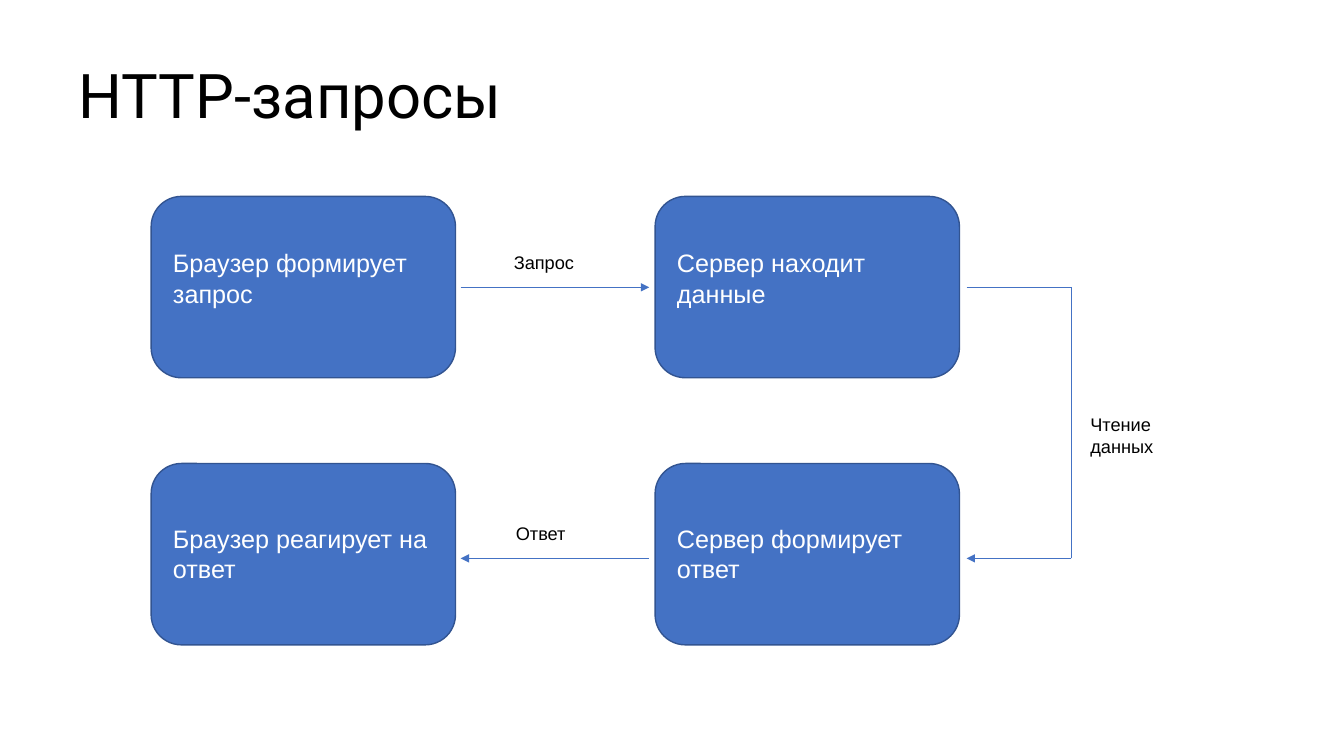
from lxml.etree import SubElement
from pptx import Presentation
from pptx.dml.color import RGBColor as RGB
from pptx.enum.shapes import MSO_CONNECTOR as Link, MSO_SHAPE as Form
from pptx.enum.text import MSO_ANCHOR as Anchor
from pptx.oxml.ns import qn
from pptx.util import Cm, Pt

BLACK = RGB(0x00, 0x00, 0x00)
WHITE = RGB(0xFF, 0xFF, 0xFF)
BLUE = RGB(0x44, 0x72, 0xC4)
NAVY = RGB(0x32, 0x54, 0x91)

LEFT, RIGHT = 3.81, 16.51    # box columns
TOP, LOW = 4.95, 11.68       # box rows
WIDE, HIGH = 7.67, 4.57      # box size
ASK, REPLY = 7.24, 14.07     # heights of the two arrow rows
NEAR, FAR = 11.61, 16.36     # arrow ends between the columns
EDGE, TURN = 24.36, 27.0     # path on the right


class Board:
    """Draws the flow chart on one slide."""

    def __init__(self, slide):
        self.shapes = slide.shapes

    def text(self, words, x, y, w, h, size, color=BLACK, face="Arial"):
        box = self.shapes.add_textbox(Cm(x), Cm(y), Cm(w), Cm(h))
        frame = box.text_frame
        frame.word_wrap = True
        frame.text = words
        font = frame.paragraphs[0].runs[0].font
        font.name, font.size, font.color.rgb = face, Pt(size), color
        return frame

    def title(self, words):
        frame = self.text(words, 1.73, 1.27, 30.02, 2.18, 44, face="Roboto")
        frame.vertical_anchor = Anchor.BOTTOM
        frame.paragraphs[0].line_spacing = 0.9

    def box(self, x, y):
        box = self.shapes.add_shape(
            Form.ROUNDED_RECTANGLE, Cm(x), Cm(y), Cm(WIDE), Cm(HIGH))
        box.shadow.inherit = False
        box.fill.solid()
        box.fill.fore_color.rgb = BLUE
        box.line.color.rgb = NAVY
        box.line.width = Pt(1)

    def line(self, start, end, arrow=True):
        points = [Cm(v) for v in (*start, *end)]
        line = self.shapes.add_connector(Link.STRAIGHT, *points)
        line.line.color.rgb = BLUE
        line.line.width = Pt(0.5)
        if arrow:
            SubElement(line.line._get_or_add_ln(), qn("a:tailEnd"),
                       type="triangle")
        SubElement(line._element.spPr, qn("a:effectLst"))


def main():
    deck = Presentation()
    deck.slide_width, deck.slide_height = Cm(33.87), Cm(19.05)
    board = Board(deck.slides.add_slide(deck.slide_layouts[6]))
    board.title("HTTP-запросы")

    for x, y in ((LEFT, TOP), (RIGHT, TOP), (RIGHT, LOW), (LEFT, LOW)):
        board.box(x, y)

    board.line((NEAR, ASK), (FAR, ASK))
    board.line((FAR, REPLY), (NEAR, REPLY))
    board.line((EDGE, ASK), (TURN, ASK), arrow=False)
    board.line((TURN, REPLY), (TURN, ASK), arrow=False)
    board.line((TURN, REPLY), (EDGE, REPLY))

    steps = (
        ("Браузер формирует запрос", LEFT, 6.12),
        ("Сервер находит данные", RIGHT, 6.12),
        ("Браузер реагирует на\u00a0ответ".replace("\u00a0", " "), LEFT, 13.06),
        ("Сервер формирует ответ", RIGHT, 13.06),
    )
    for words, x, y in steps:
        board.text(words, x + 0.3, y, 7.06, 1.8, 18, WHITE)

    notes = (
        ("Запрос", 12.7, 6.2, 0.81),
        ("Ответ", 12.75, 13.03, 0.81),
        ("Чтение данных", 27.23, 10.29, 1.37),
    )
    for words, x, y, h in notes:
        board.text(words, x, y, 3.66, h, 13)

    deck.save("out.pptx")


if __name__ == "__main__":
    main()
